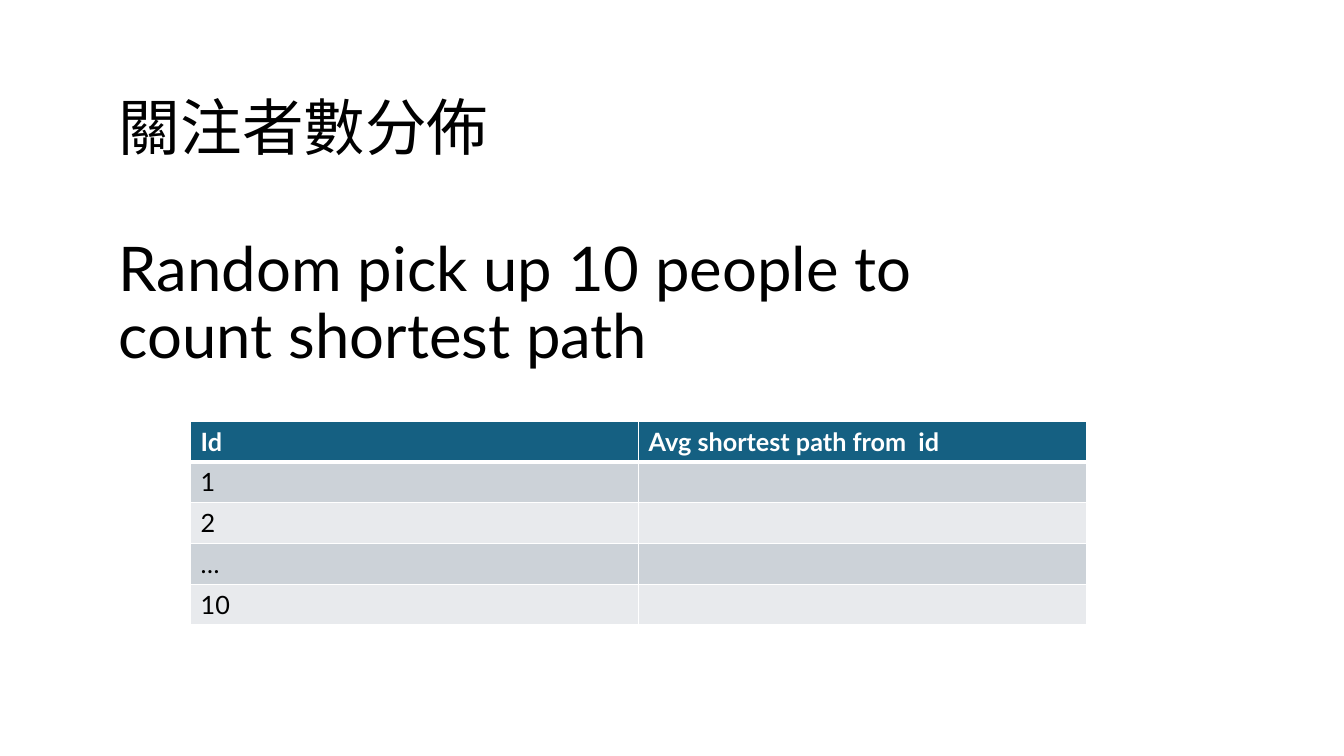
from dataclasses import dataclass

from lxml import etree
from pptx import Presentation
from pptx import util as u
from pptx.dml.color import RGBColor
from pptx.enum import text
from pptx.oxml import ns

WHITE = RGBColor(0xFF, 0xFF, 0xFF)
BLACK = RGBColor(0x00, 0x00, 0x00)
HEADER = RGBColor(0x15, 0x60, 0x82)
BANDS = (RGBColor(0xCC, 0xD2, 0xD8), RGBColor(0xE8, 0xEA, 0xED))
FONT = "Lato"

SLIDE_WIDTH = u.Inches(13.33)
SLIDE_HEIGHT = u.Inches(7.5)
COLUMN = SLIDE_WIDTH / 100
ROW = SLIDE_HEIGHT / 100


@dataclass(frozen=True)
class Area:
    left: float
    top: float
    width: float
    height: float

    def place(self) -> tuple[int, int, int, int]:
        return (
            round(self.left * COLUMN),
            round(self.top * ROW),
            round(self.width * COLUMN),
            round(self.height * ROW),
        )


@dataclass(frozen=True)
class Heading:
    words: str
    area: Area


HEADINGS = (
    Heading("Random pick up 10 people to count shortest path", Area(8.1, 30.67, 67.97, 19.33)),
    Heading("關注者數分佈", Area(8.1, 7.6, 86.27, 19.33)),
)
TABLE_AREA = Area(14.18, 55.73, 66.67, 26.93)
PATH_ROWS = (
    ("Id", "Avg shortest path from  id"),
    ("1", ""),
    ("2", ""),
    ("…", ""),
    ("10", ""),
)


def write(frame, words: str, *, size: float, color: RGBColor = BLACK,
          bold: bool = False, spacing: float = 1.0) -> None:
    para = frame.paragraphs[0]
    para.line_spacing = spacing
    para.font.size = u.Pt(size)
    if words:
        span = para.add_run()
        span.text = words
        span.font.name = FONT
        span.font.size = u.Pt(size)
        span.font.bold = bold
        span.font.color.rgb = color


def draw_heading(page, heading: Heading) -> None:
    box = page.shapes.add_textbox(*heading.area.place())
    frame = box.text_frame
    frame.word_wrap = True
    frame.vertical_anchor = text.MSO_ANCHOR.MIDDLE
    write(frame, heading.words, size=44, spacing=0.9)


def set_borders(cell, widths: dict[str, float]) -> None:
    properties = cell._tc.get_or_add_tcPr()
    for index, (side, width) in enumerate(widths.items()):
        line = etree.Element(ns.qn(f"a:{side}"), w=str(u.Pt(width)))
        fill = etree.SubElement(line, ns.qn("a:solidFill"))
        etree.SubElement(fill, ns.qn("a:srgbClr"), val=str(WHITE))
        properties.insert(index, line)


def draw_table(page, area: Area, rows: tuple[tuple[str, ...], ...]) -> None:
    left, top, width, height = area.place()
    table = page.shapes.add_table(len(rows), len(rows[0]), left, top, width, height).table
    for row_index, row in enumerate(rows):
        is_header = row_index == 0
        for column_index, words in enumerate(row):
            cell = table.cell(row_index, column_index)
            cell.fill.solid()
            cell.fill.fore_color.rgb = HEADER if is_header else BANDS[(row_index - 1) % 2]
            write(cell.text_frame, words, size=18, bold=is_header,
                  color=WHITE if is_header else BLACK)
            set_borders(cell, {
                "lnL": 1,
                "lnR": 1,
                "lnT": 3 if row_index == 1 else 1,
                "lnB": 3 if is_header else 1,
            })


def main() -> None:
    deck = Presentation()
    deck.slide_width = SLIDE_WIDTH
    deck.slide_height = SLIDE_HEIGHT
    page = deck.slides.add_slide(deck.slide_layouts[6])
    for heading in HEADINGS:
        draw_heading(page, heading)
    draw_table(page, TABLE_AREA, PATH_ROWS)
    deck.save("out.pptx")


if __name__ == "__main__":
    main()
